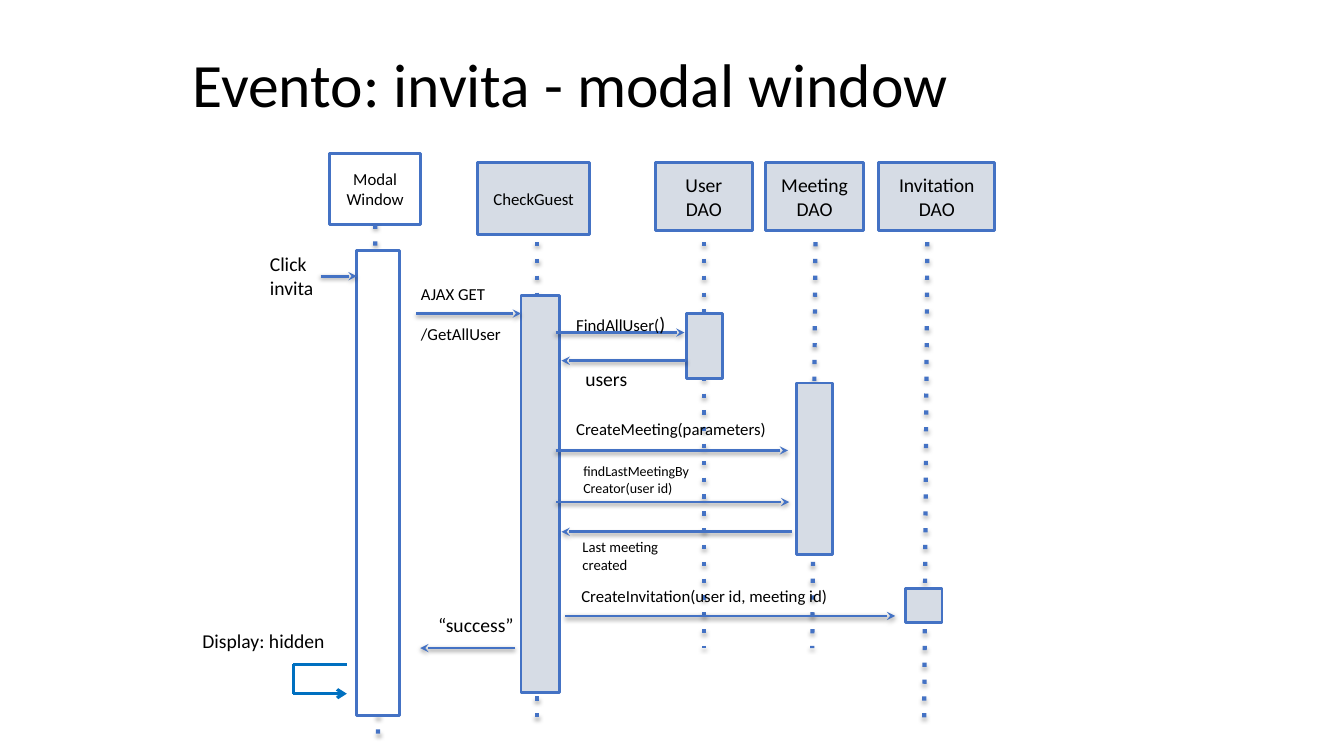
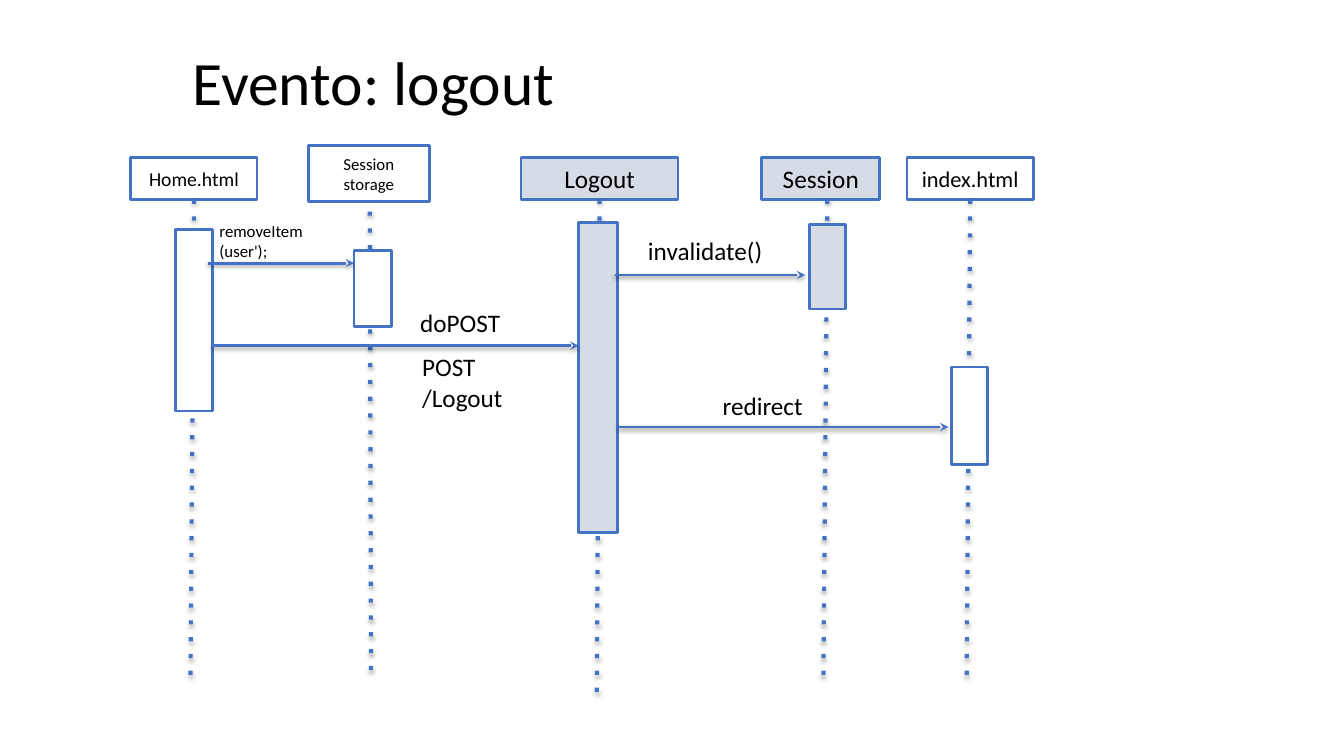
from lxml import etree
from pptx import Presentation
from pptx import util as u
from pptx.dml.color import RGBColor
from pptx.enum import shapes, text
from pptx.oxml import ns

FONT = "Calibri"
BLACK, WHITE = "000000", "FFFFFF"
GREY, BLUE, LOOP_BLUE = "D6DCE5", "4472C4", "0070C0"


def rgb(color):
    return RGBColor.from_string(color)


def cm(*values):
    return [u.Cm(v) for v in values]


def child(parent, tag, **attrs):
    el = etree.SubElement(parent, ns.qn(tag))
    for name, value in attrs.items():
        el.set(name, str(value))
    return el


def add_run(p, content, size):
    r = p.add_run()
    r.text = content
    r.font.name = FONT
    r.font.size = u.Pt(size)
    r.font.color.rgb = rgb(BLACK)


def write(sp, content, size=14, align=text.PP_ALIGN.LEFT,
          anchor=text.MSO_ANCHOR.TOP, spacing=None, gap=0):
    tf = sp.text_frame
    tf.word_wrap = True
    tf.vertical_anchor = anchor
    tf.margin_left = tf.margin_right = u.Cm(0.3)
    tf.margin_top = tf.margin_bottom = u.Cm(0.15)
    for i, line in enumerate(content.split("\n")):
        p = tf.add_paragraph() if i else tf.paragraphs[0]
        p.alignment = align
        if spacing:
            p.line_spacing = spacing
        if i and gap:
            p.space_before = u.Pt(gap)
        add_run(p, line, size)
    return tf


def add_label(s, box, content, size=14, **style):
    return write(s.shapes.add_textbox(*cm(*box)), content, size, **style)


def add_title(s, top, height, content):
    add_label(s, (4.55, top, 24.77, height), content, 44,
              anchor=text.MSO_ANCHOR.MIDDLE, spacing=0.9)


def add_rect(s, box, fill):
    sp = s.shapes.add_shape(shapes.MSO_SHAPE.RECTANGLE, *cm(*box))
    sp.shadow.inherit = False
    sp.fill.solid()
    sp.fill.fore_color.rgb = rgb(fill)
    sp.line.color.rgb = rgb(BLUE)
    sp.line.width = u.Pt(2)
    return sp


def add_line(container, start, end, color=BLUE, width=2, dash=None,
             head=None, shadow=None):
    line = container.add_connector(shapes.MSO_CONNECTOR.STRAIGHT,
                                   *cm(*start, *end))
    line.line.color.rgb = rgb(color)
    line.line.width = u.Pt(width)
    ln = line.line._get_or_add_ln()
    if dash:
        child(ln, "a:prstDash", val=dash)
    if head:
        child(ln, "a:tailEnd", type=head)
    effects = child(line._element.spPr, "a:effectLst")
    if shadow:
        dist, alpha = shadow
        outer = child(effects, "a:outerShdw", blurRad=u.Pt(3.1),
                      dist=u.Pt(dist), dir=5400000, rotWithShape=0)
        child(child(outer, "a:srgbClr", val=BLACK), "a:alpha",
              val=alpha * 1000)
    return line


def add_participant(s, name, size, fill, head, bar, end, start=None):
    sp = add_rect(s, head, fill)
    write(sp, name, size, align=text.PP_ALIGN.CENTER,
          anchor=text.MSO_ANCHOR.MIDDLE)
    left, top, width, height = head
    lifeline = add_line(s.shapes, start or (left + width / 2, top + height),
                        end, width=3, dash="dot", shadow=(1.8, 35))
    if start is None:
        lifeline.begin_connect(sp, 2)
    add_rect(s, bar, fill)


def add_message(s, x1, x2, y):
    add_line(s.shapes, (x1, y), (x2, y), head="stealth", shadow=(1.6, 38))


def add_self_call(s, left, right, top, bottom):
    points = [(right, top), (left, top), (left, bottom), (right, bottom)]
    group = s.shapes.add_group_shape()
    for start, end in zip(points, points[1:]):
        add_line(group.shapes, start, end, LOOP_BLUE, 2.25,
                 head="arrow" if end == points[-1] else None)


def build_invite(s):
    add_title(s, 0.61, 3.18, "Evento: invita - modal window")
    for participant in [
        ("Modal Window", 12, WHITE, (8.31, 3.86, 2.29, 1.8),
         (8.99, 6.32, 1.07, 11.71), (9.53, 18.8)),
        ("CheckGuest", 12, GREY, (12.04, 4.09, 2.82, 1.83),
         (13.13, 7.44, 0.97, 10.01), (13.54, 18.16), (13.54, 6.1)),
        ("User\nDAO", 14, GREY, (16.51, 4.09, 2.46, 1.73),
         (17.3, 7.9, 0.91, 1.63), (17.75, 16.33), (17.75, 6.1)),
        ("Meeting\nDAO", 14, GREY, (19.3, 4.09, 2.46, 1.73),
         (20.07, 9.65, 0.91, 4.32), (20.47, 16.33), (20.55, 6.1)),
        ("Invitation\nDAO", 14, GREY, (22.15, 4.09, 2.92, 1.73),
         (22.83, 14.83, 0.91, 0.86), (23.29, 18.16), (23.37, 6.1)),
    ]:
        add_participant(s, *participant)
    for message in [
        (8.08, 8.99, 6.96), (10.49, 13.13, 7.9), (14, 17.25, 8.38),
        (17.3, 14.15, 9.09), (14, 19.86, 11.35), (14.02, 19.89, 12.65),
        (19.96, 14.15, 13.4), (14.25, 22.56, 15.52), (12.98, 10.59, 16.33),
    ]:
        add_message(s, *message)
    for label in [
        ((6.5, 6.2, 2.77, 1.24), "Click\ninvita"),
        ((14.45, 9.09, 2.74, 0.86), "users"),
        ((14.22, 10.41, 5.77, 0.84), "CreateMeeting(parameters)", 12),
        ((14.4, 11.51, 3.35, 1.65), "findLastMeetingByCreator(user id)", 10),
        ((14.38, 13.41, 2.74, 0.86), "Last meeting created", 10.5),
        ((14.35, 14.61, 7.39, 0.69),
         "CreateInvitation(user id, meeting id)", 12),
        ((10.74, 15.29, 2.74, 0.86), "“success”"),
        ((4.8, 15.7, 4.57, 0.89), "Display: hidden"),
    ]:
        add_label(s, *label)
    add_label(s, (10.31, 6.99, 3, 2.67), "AJAX GET\n/GetAllUser", 12,
              gap=14.65)
    tf = add_label(s, (14.22, 7.7, 3.35, 0.89), "FindAllUser(", 12)
    add_run(tf.paragraphs[0], ")", 14)
    add_self_call(s, 7.39, 8.74, 16.74, 17.48)


def build_logout(s):
    add_title(s, 0.76, 2.79, "Evento: logout")
    for participant in [
        ("Home.html", 14, WHITE, (3.3, 3.96, 3.18, 1.07),
         (4.42, 5.79, 0.94, 4.57), (4.8, 17.09)),
        ("Session storage", 12, WHITE, (7.77, 3.66, 3.05, 1.42),
         (8.92, 6.32, 0.94, 1.91), (9.35, 17.09), (9.32, 5.33)),
        ("Logout", 18, GREY, (13.13, 3.96, 3.96, 1.07),
         (14.58, 5.61, 0.99, 7.82), (15.04, 17.5)),
        ("Session", 18, GREY, (19.2, 3.96, 2.97, 1.07),
         (20.4, 5.66, 0.91, 2.13), (20.75, 17.09), (20.85, 5.03)),
        ("index.html", 16, WHITE, (22.86, 3.96, 3.18, 1.07),
         (23.98, 9.25, 0.91, 2.46), (24.36, 17.09)),
    ]:
        add_participant(s, *participant)
    for message in [
        (5.23, 8.92, 6.63), (5.33, 14.58, 8.71),
        (15.49, 20.29, 6.93), (15.57, 23.9, 10.76),
    ]:
        add_message(s, *message)
    for label in [
        ((5.23, 5.41, 3, 1.27), "removeItem\n(user');", 12),
        ((10.29, 7.59, 3.15, 1.02), "doPOST", 18),
        ((10.34, 8.71, 3.48, 1.9), "POST\n/Logout", 18),
        ((16.03, 5.79, 4.83, 0.86), "invalidate()", 18),
    ]:
        add_label(s, *label)
    add_label(s, (16.03, 9.68, 6.38, 0.94), "redirect", 18,
              align=text.PP_ALIGN.CENTER)


def main():
    prs = Presentation()
    prs.slide_width, prs.slide_height = cm(33.87, 19.05)
    for build in (build_invite, build_logout):
        build(prs.slides.add_slide(prs.slide_layouts[6]))
    prs.save("out.pptx")


if __name__ == "__main__":
    main()
